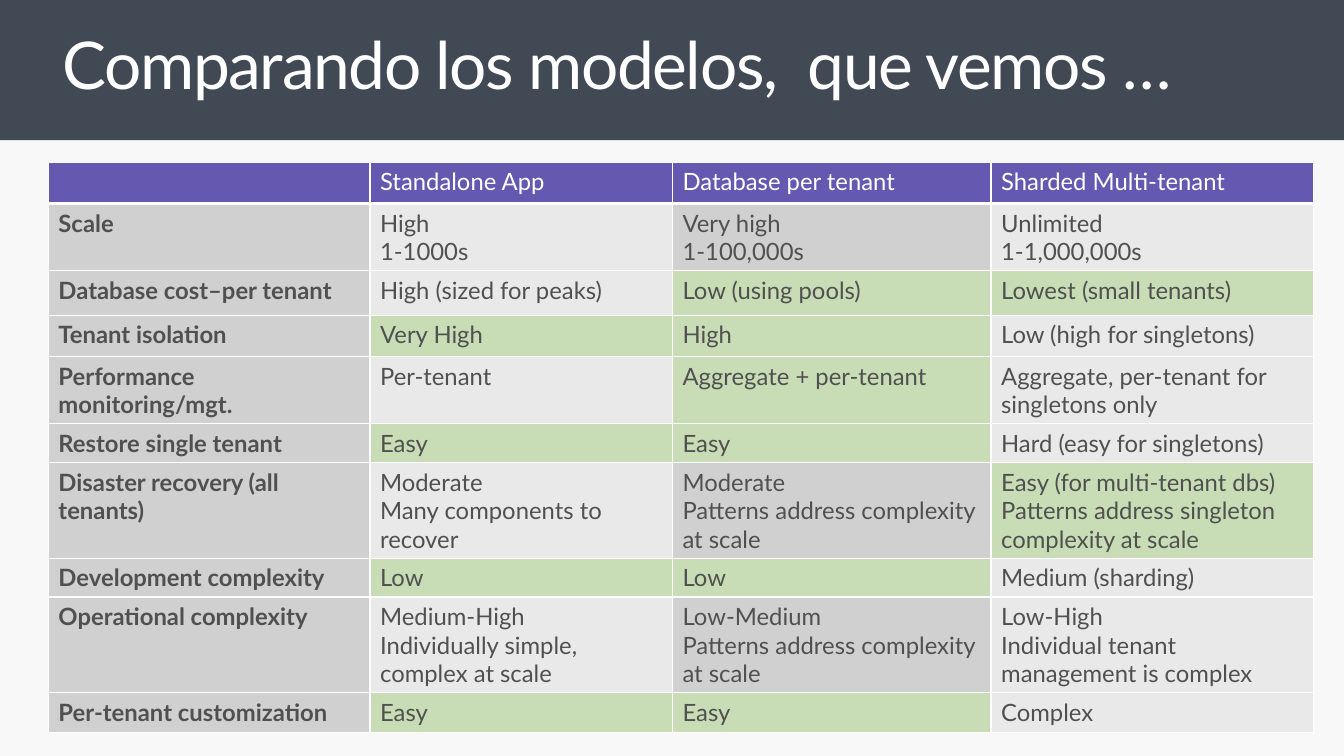
from lxml import etree
from pptx import Presentation
from pptx.dml.color import RGBColor
from pptx.enum.shapes import MSO_SHAPE
from pptx.enum.text import MSO_ANCHOR
from pptx.oxml.ns import qn
from pptx.util import Inches, Pt

RECTANGLE = MSO_SHAPE.RECTANGLE
TOP = MSO_ANCHOR.TOP
FONT = "Lato"
COLORS = {
    "background": "F8F8F8",
    "band": "414954",
    "header": "6558B1",
    "label": "D0D0D0",
    "plain": "E9E9E9",
    "best": "C8DDB5",
    "text": "505050",
    "white": "FFFFFF",
}
COLUMN_WIDTHS = [3.19, 3, 3.16, 3.2]
ROW_HEIGHTS = [0.41, 0.66, 0.44, 0.41, 0.66, 0.38, 0.94, 0.38, 0.94, 0.39]
COLUMN_FILLS = ["label", "plain", "label", "plain"]
MODELS = ["", "Standalone App", "Database per tenant", "Sharded Multi-tenant"]

# Each criterion: its cells, then the columns where the model does well
CRITERIA = [
    (["Scale", "High\n1-1000s", "Very high\n1-100,000s",
      "Unlimited\n1-1,000,000s"], ()),
    (["Database cost–per tenant", "High (sized for peaks)",
      "Low (using pools)", "Lowest (small tenants)"], (2, 3)),
    (["Tenant isolation", "Very High", "High",
      "Low (high for singletons)"], (1, 2)),
    (["Performance monitoring/mgt.", "Per-tenant", "Aggregate + per-tenant",
      "Aggregate, per-tenant for singletons only"], (2,)),
    (["Restore single tenant", "Easy", "Easy",
      "Hard (easy for singletons)"], (1, 2)),
    (["Disaster recovery (all tenants)",
      "Moderate\nMany components to recover",
      "Moderate\nPatterns address complexity at scale",
      "Easy (for multi-tenant dbs)\n"
      "Patterns address singleton complexity at scale"], (3,)),
    (["Development complexity", "Low", "Low", "Medium (sharding)"], (1, 2)),
    (["Operational complexity",
      "Medium-High\nIndividually simple, complex at scale",
      "Low-Medium\nPatterns address complexity at scale",
      "Low-High\nIndividual tenant management is complex"], ()),
    (["Per-tenant customization", "Easy", "Easy", "Complex"], (1, 2)),
]


def color(name):
    return RGBColor.from_string(COLORS[name])


def style_font(font, size, color_name, bold=False):
    font.name = FONT
    font.size = Pt(size)
    font.bold = bold
    font.color.rgb = color(color_name)


def set_borders(cell, bottom_width):
    """Draw white lines round a cell, 1 pt but for the bottom one."""
    properties = cell._tc.get_or_add_tcPr()
    widths = {"a:lnL": 1, "a:lnR": 1, "a:lnT": 1, "a:lnB": bottom_width}
    for position, (tag, width) in enumerate(widths.items()):
        line = etree.Element(qn(tag), w=str(Pt(width)))
        fill = etree.SubElement(line, qn("a:solidFill"))
        etree.SubElement(fill, qn("a:srgbClr"), val=COLORS["white"])
        properties.insert(position, line)


def fill_cell(cell, text, fill_name, text_color, bold=False, bottom_width=1):
    cell.text = text
    cell.fill.solid()
    cell.fill.fore_color.rgb = color(fill_name)
    for paragraph in cell.text_frame.paragraphs:
        style_font(paragraph.font, 17, text_color, bold)
    set_borders(cell, bottom_width)


def add_title_band(slide, left, top, width, height):
    band = slide.shapes.add_shape(
        RECTANGLE, Inches(left), Inches(top), Inches(width), Inches(height))
    band.shadow.inherit = False
    band.fill.solid()
    band.fill.fore_color.rgb = color("band")
    band.line.fill.background()

    title = slide.shapes.add_textbox(
        Inches(left + 0.46), Inches(top + 0.22),
        Inches(width - 0.74), Inches(height - 0.41))
    frame = title.text_frame
    frame.word_wrap = True
    frame.vertical_anchor = TOP
    frame.margin_left = frame.margin_right = Inches(0.16)
    frame.margin_top = frame.margin_bottom = Inches(0.1)
    paragraph = frame.paragraphs[0]
    paragraph.line_spacing = 0.9
    run = paragraph.add_run()
    run.text = "Comparando los modelos,  que vemos …"
    style_font(run.font, 47, "white")
    run.font._element.set("spc", "-100")


def add_comparison_table(slide, left, top):
    frame = slide.shapes.add_table(
        len(ROW_HEIGHTS), len(COLUMN_WIDTHS), Inches(left), Inches(top),
        Inches(sum(COLUMN_WIDTHS)), Inches(sum(ROW_HEIGHTS)))
    table = frame.table
    for column, width in zip(table.columns, COLUMN_WIDTHS):
        column.width = Inches(width)
    for row, height in zip(table.rows, ROW_HEIGHTS):
        row.height = Inches(height)

    for column, model in enumerate(MODELS):
        fill_cell(table.cell(0, column), model, "header", "white",
                  bottom_width=3)
    for row, (texts, best_columns) in enumerate(CRITERIA, start=1):
        for column, text in enumerate(texts):
            fill_name = "best" if column in best_columns else COLUMN_FILLS[column]
            fill_cell(table.cell(row, column), text, fill_name, "text",
                      bold=column == 0)


def main():
    presentation = Presentation()
    presentation.slide_width = Inches(13.33)
    presentation.slide_height = Inches(7.5)
    slide = presentation.slides.add_slide(presentation.slide_layouts[6])
    slide.background.fill.solid()
    slide.background.fill.fore_color.rgb = color("background")
    add_title_band(slide, 0, 0, 13.33, 1.39)
    add_comparison_table(slide, 0.48, 1.61)
    presentation.save("out.pptx")


if __name__ == "__main__":
    main()
